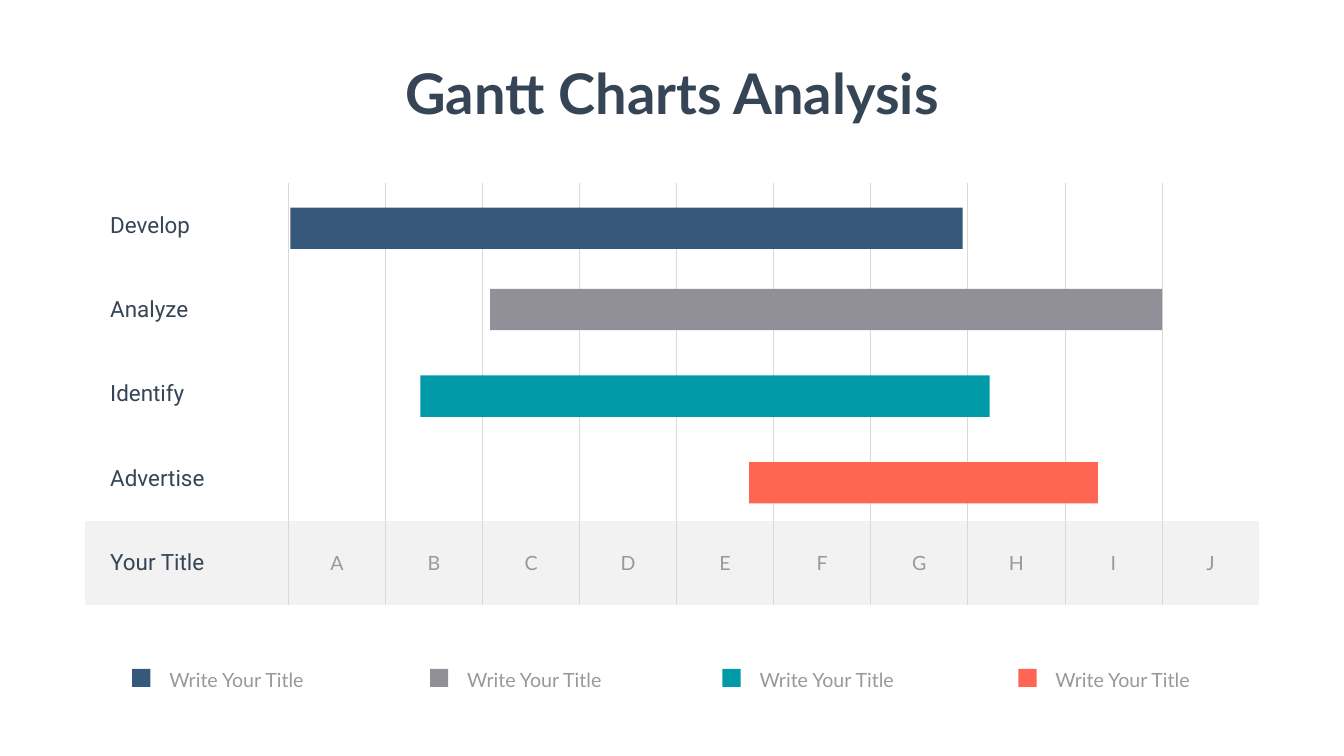
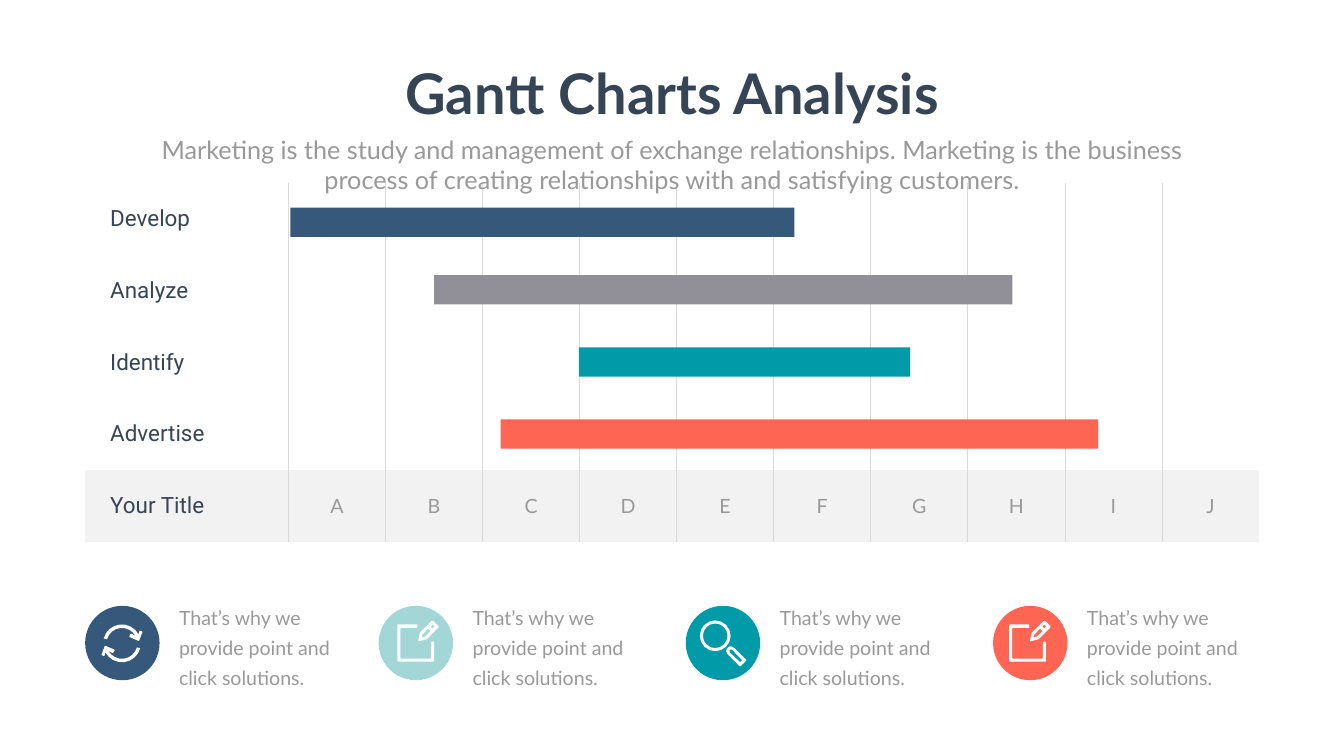
from math import cos, radians, sin

from lxml import etree
from pptx import Presentation
from pptx.dml.color import RGBColor
from pptx.enum import shapes, text
from pptx.oxml.ns import qn
from pptx.util import Pt

COLORS = {
    "ink": "364556", "muted": "999999", "white": "FFFFFF", "band": "F2F2F2",
    "grid": "D9D9D9", "navy": "36597B", "gray": "919098", "mint": "A3D7D7",
    "teal": "009AA8", "coral": "FE6653",
}
BODY, LABEL = "Lato", "Roboto"
CENTER, LEFT = text.PP_ALIGN.CENTER, text.PP_ALIGN.LEFT
TASKS = ["Develop", "Analyze", "Identify", "Advertise"]
TASK_COLORS = ["navy", "gray", "teal", "coral"]
PERIODS = "ABCDEFGHIJ"
CHART_LEFT, CHART_TOP, CHART_WIDTH = 121.4, 262.1, 1676.9
LABEL_WIDTH = 290.5
DISC = 106.3


def rgb(name):
    return RGBColor.from_string(COLORS[name])


def write(frame, content, size=28, color="muted", font=BODY, bold=False,
          align=LEFT, leading=None):
    """Put one formatted paragraph in a text frame."""
    paragraph = frame.paragraphs[0]
    paragraph.alignment = align
    paragraph.space_before = Pt(0)
    if leading:
        paragraph.line_spacing = Pt(leading)
    run = paragraph.add_run()
    run.text = content
    run.font.size, run.font.name, run.font.bold = Pt(size), font, bold
    run.font.color.rgb = rgb(color)


def text_box(slide, box, content, inset=(7.2, 3.6), **style):
    frame = slide.shapes.add_textbox(*map(Pt, box)).text_frame
    frame.word_wrap = True
    frame.auto_size = text.MSO_AUTO_SIZE.SHAPE_TO_FIT_TEXT
    frame.margin_left = frame.margin_right = Pt(inset[0])
    frame.margin_top = frame.margin_bottom = Pt(inset[1])
    write(frame, content, **style)


def paint(shape, color):
    shape.shadow.inherit = False
    shape.fill.solid()
    shape.fill.fore_color.rgb = rgb(color)
    shape.line.fill.background()


def block(slide, box, color, kind=shapes.MSO_SHAPE.RECTANGLE):
    paint(slide.shapes.add_shape(kind, *map(Pt, box)), color)


# Title
def title(slide):
    heading = slide.shapes.title
    heading.left, heading.top = Pt(560), Pt(80.6)
    heading.width, heading.height = Pt(800), Pt(104.4)
    frame = heading.text_frame
    frame.word_wrap = False
    frame.auto_size = text.MSO_AUTO_SIZE.SHAPE_TO_FIT_TEXT
    frame.vertical_anchor = text.MSO_ANCHOR.TOP
    write(frame, "Gantt Charts Analysis", size=80, color="ink", bold=True, align=CENTER)


# Gantt grid with its bars
def style_cell(cell, fill, sides):
    """Draw grid lines on the given sides only, then fill the cell."""
    props = cell._tc.get_or_add_tcPr()
    for side in "LRTB":
        line = etree.SubElement(props, qn(f"a:ln{side}"), w=str(Pt(1)))
        if side in sides:
            solid = etree.SubElement(line, qn("a:solidFill"))
            etree.SubElement(solid, qn("a:srgbClr"), val=COLORS["grid"])
        else:
            etree.SubElement(line, qn("a:noFill"))
    cell.fill.solid()
    cell.fill.fore_color.rgb = rgb(fill)
    cell.vertical_anchor = text.MSO_ANCHOR.MIDDLE


def gantt(slide, height, bar_height, bars):
    labels = TASKS + ["Your Title"]
    last = len(PERIODS)
    grid = slide.shapes.add_table(
        len(labels), last + 1, Pt(CHART_LEFT), Pt(CHART_TOP),
        Pt(CHART_WIDTH), Pt(height)).table
    grid.first_row = grid.horz_banding = False
    for c, column in enumerate(grid.columns):
        column.width = Pt((CHART_WIDTH - LABEL_WIDTH) / last if c else LABEL_WIDTH)
    for r, label in enumerate(labels):
        is_axis = r == len(TASKS)
        grid.rows[r].height = Pt(height / len(labels))
        for c in range(last + 1):
            cell = grid.cell(r, c)
            sides = ("L" if c > 0 else "") + ("R" if c < last else "")
            style_cell(cell, "band" if is_axis else "white", sides)
            if c == 0:
                cell.margin_left = Pt(36)
                write(cell.text_frame, label, size=32, color="ink", font=LABEL)
            elif is_axis:
                write(cell.text_frame, PERIODS[c - 1], align=CENTER)
    for (x, y, width), color in zip(bars, TASK_COLORS):
        block(slide, (CHART_LEFT + x, CHART_TOP + y, width, bar_height), color)


# Legend entry
def legend_entry(slide, left, top, color):
    text_box(slide, (left + 35.7, top - 17.3, 240.5, 54), "Write Your Title",
             inset=(17.28, 8.64), leading=40.8)
    block(slide, (left, top, 26, 26), color)


# Icon outlines, in points from the corner of their disc
def arc(center, radius, start, end, steps):
    angles = [radians(start + (end - start) * i / steps) for i in range(steps + 1)]
    return [(center[0] + radius * cos(a), center[1] + radius * sin(a)) for a in angles]


def beveled(corners, size):
    """Replace each corner of a polygon by a short bevel."""
    points = []
    for i, (x, y) in enumerate(corners):
        for nx, ny in (corners[i - 1], corners[(i + 1) % len(corners)]):
            length = ((nx - x) ** 2 + (ny - y) ** 2) ** 0.5
            share = min(size / length, 0.5)
            points.append((x + (nx - x) * share, y + (ny - y) * share))
    return points


def outline(slide, left, top, *contours):
    """Draw one white shape; contours after the first are holes."""
    placed = [[(Pt(left + x), Pt(top + y)) for x, y in c] for c in contours]
    builder = slide.shapes.build_freeform(*placed[0][0], scale=1.0)
    builder.add_line_segments(placed[0][1:])
    for hole in placed[1:]:
        builder.move_to(*hole[0])
        builder.add_line_segments(hole[1:])
    paint(builder.convert_to_shape(), "white")


def refresh_icon(slide, left, top):
    center = (52.6, 53.6)
    head = [(78.5, 35.3), (82.1, 36.7), (77, 50.4), (62.6, 44.3), (65, 40)]
    arrow = (arc(center, 27, 195, 332, 8) + beveled(head, 1)
             + arc(center, 22.1, 332, 195, 8))
    opposite = [(2 * center[0] - x, 2 * center[1] - y) for x, y in arrow]
    outline(slide, left, top, arrow)
    outline(slide, left, top, opposite)


def edit_icon(slide, left, top):
    sheet = [(55.4, 26.6), (26.6, 26.6), (26.6, 79.9), (79.2, 79.9), (79.2, 51.1),
             (74.9, 51.1), (74.9, 75.6), (31, 75.6), (31, 31.7), (55.4, 31.7)]
    pencil = [(77, 20.5), (86.4, 29.9), (68.4, 47.9), (56.2, 50.8), (58.7, 38.5)]
    cap = [(77, 32.4), (74.2, 29.5), (77, 26.6), (79.9, 29.5)]
    lead = [(66.2, 43.9), (61.2, 45.4), (62.6, 41), (70.6, 32.4), (74.2, 36)]
    outline(slide, left, top, beveled(sheet, 1))
    outline(slide, left, top, beveled(pencil, 1.2), cap, lead)


def search_icon(slide, left, top):
    handle = [(59.8, 69.1), (57.3, 64.4), (59.8, 59.8), (64.1, 57.3),
              (69.1, 59.8), (87, 77.8), (77.8, 87)]
    slot = [(62.6, 66.2), (62.6, 62.6), (66.2, 62.6), (80.6, 77.8), (77.8, 80.6)]
    lens = (42.1, 42.8)
    outline(slide, left, top, beveled(handle, 1.2), slot)
    outline(slide, left, top, arc(lens, 22, 0, 360, 16), arc(lens, 17.6, 0, 360, 16))


# Disc with icon and caption
def feature(slide, left, top, color, icon, icon_shift):
    block(slide, (left, top, DISC, DISC), color, shapes.MSO_SHAPE.OVAL)
    text_box(slide, (left + 127, top - 13, 252.7, 132.5),
             "That’s why we provide point and click solutions.", leading=43)
    icon(slide, left + icon_shift, top)


# Slides
def legend_slide(slide):
    title(slide)
    gantt(slide, 602, 59, [(293.3, 34.6, 960), (578.5, 150.5, 960),
                           (479.1, 274.3, 813), (948.5, 398.2, 498.2)])
    for left, color in zip((188.8, 614.2, 1031.8, 1454.4), TASK_COLORS):
        legend_entry(slide, left, 955.4, color)


def feature_slide(slide):
    title(slide)
    gantt(slide, 511.6, 41.8, [(293.3, 34.6, 720), (498.6, 131, 825.8),
                               (705.2, 234, 473), (593.6, 337, 853.2)])
    for left, color, icon, icon_shift in (
            (121.6, "navy", refresh_icon, 0), (540.8, "mint", edit_icon, 0),
            (979.4, "teal", search_icon, 0), (1418.3, "coral", edit_icon, -3.6)):
        feature(slide, left, 865.5, color, icon, icon_shift)
    text_box(slide, (210.2, 187.9, 1499, 94.3),
             "Marketing is the study and management of exchange relationships. "
             "Marketing is the business process of creating relationships with "
             "and satisfying customers.", size=36, align=CENTER)


def main():
    deck = Presentation()
    deck.slide_width, deck.slide_height = Pt(1919.5), Pt(1080)
    title_only = deck.slide_layouts[5]
    for build in (legend_slide, feature_slide):
        slide = deck.slides.add_slide(title_only)
        slide.background.fill.solid()
        slide.background.fill.fore_color.rgb = rgb("white")
        build(slide)
    deck.save("out.pptx")


if __name__ == "__main__":
    main()
